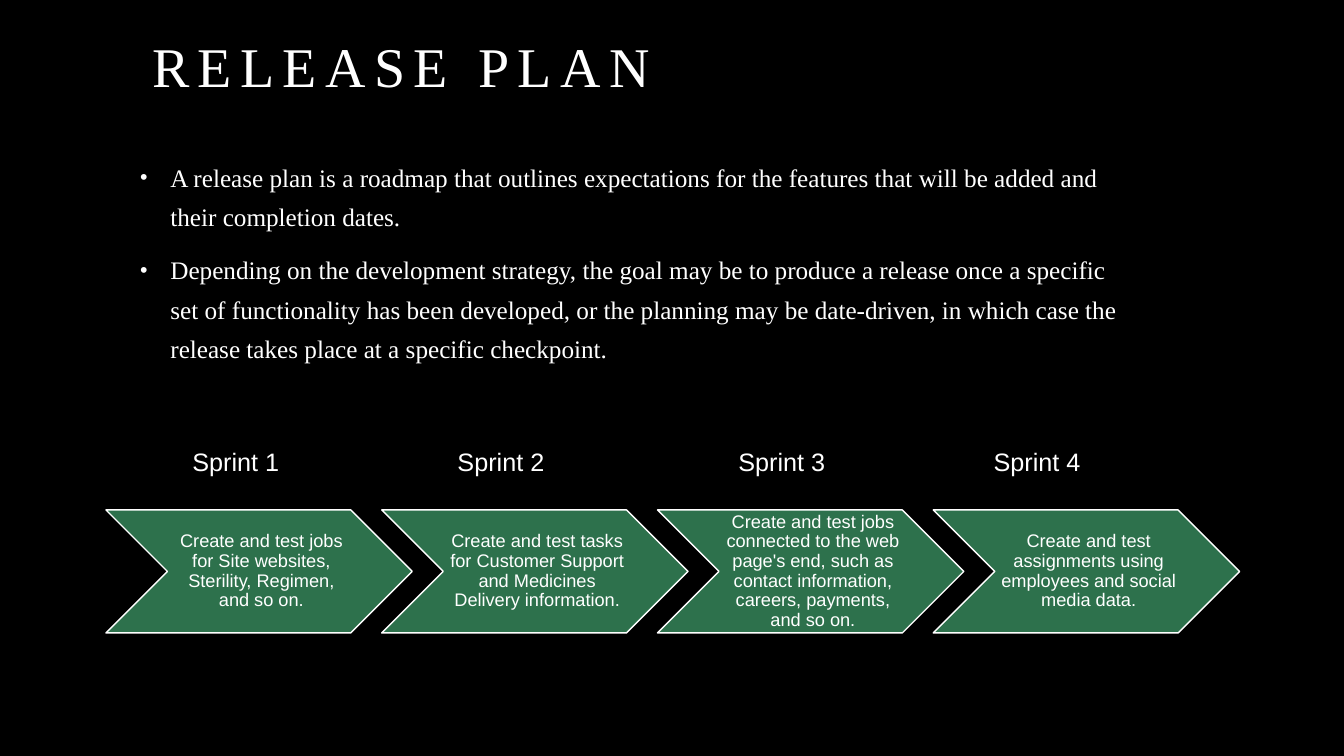
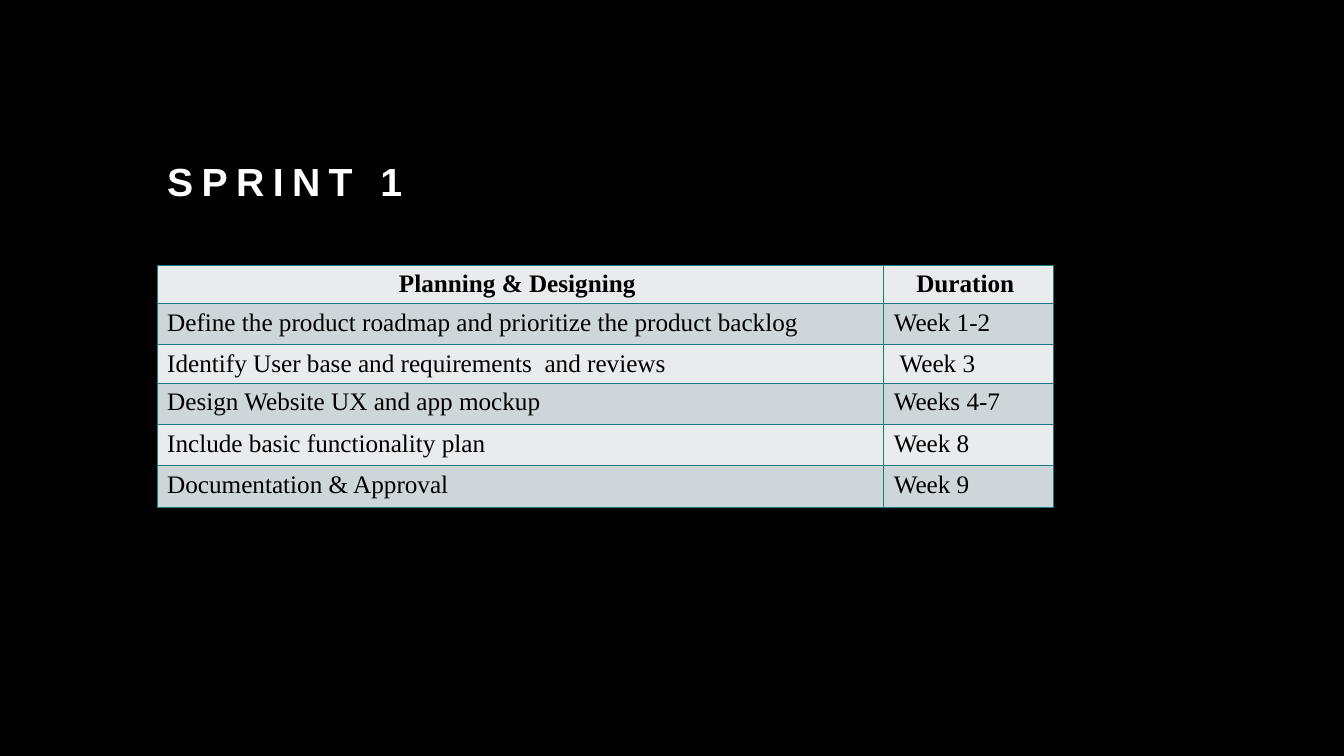
import pptx
import pptx.dml.color
import pptx.enum.shapes
import pptx.enum.text
import pptx.oxml
import pptx.oxml.ns
import pptx.util

Cm, Pt = pptx.util.Cm, pptx.util.Pt
Align = pptx.enum.text.PP_ALIGN
Anchor = pptx.enum.text.MSO_ANCHOR

COLORS = {
    "background": "000000",
    "light": "FFFFFF",
    "dark": "000000",
    "chevron": "2D714C",
    "border": "1F7985",
    "row_even": "E8ECED",
    "row_odd": "CDD7D9",
}
SANS, SERIF = "Arial", "Times New Roman"

BULLETS = [
    "A release plan is a roadmap that outlines expectations for the features that "
    "will be added and their completion dates.",
    "Depending on the development strategy, the goal may be to produce a release once "
    "a specific set of functionality has been developed, or the planning may be "
    "date-driven, in which case the release takes place at a specific checkpoint.",
]
# Label, left edge of the label in cm, chevron text
SPRINTS = [
    ("Sprint 1", 4.6,
     "Create and test jobs for Site websites, Sterility, Regimen, and so on."),
    ("Sprint 2", 11.28,
     "Create and test tasks for Customer Support and Medicines Delivery information."),
    ("Sprint 3", 18.36,
     "Create and test jobs connected to the web page's end, such as contact "
     "information, careers, payments, and so on."),
    ("Sprint 4", 24.79,
     "Create and test assignments using employees and social media data."),
]
CHEVRON_LEFT, CHEVRON_STEP = 2.67, 6.95
SCHEDULE = [
    ("Planning & Designing ", "Duration "),
    ("Define the product roadmap and prioritize the product backlog", "Week 1-2"),
    ("Identify User base and requirements  and reviews", " Week 3"),
    ("Design Website UX and app mockup", "Weeks 4-7"),
    ("Include basic functionality plan", "Week 8"),
    ("Documentation & Approval", "Week 9"),
]


def rgb(name):
    return pptx.dml.color.RGBColor.from_string(COLORS[name])


def apply(target, values):
    for name, value in values.items():
        setattr(target, name, value)


def place(sp, box):
    """Move a shape to (left, top, width, height), given in cm."""
    apply(sp, dict(zip(("left", "top", "width", "height"), map(Cm, box))))


def add_xml(parent, xml):
    head, tail = xml.split(" ", 1)
    parent.append(pptx.oxml.parse_xml(f"{head} {pptx.oxml.ns.nsdecls('a')} {tail}"))


class Deck:
    def __init__(self):
        self.prs = pptx.Presentation()
        apply(self.prs, {"slide_width": Cm(33.87), "slide_height": Cm(19.05)})
        fill = self.prs.slide_master.background.fill
        fill.solid()
        fill.fore_color.rgb = rgb("background")
        self.slide = None

    def new_slide(self, layout):
        layout = self.prs.slide_layouts.get_by_name(layout)
        self.slide = self.prs.slides.add_slide(layout)

    def text(self, p, text, size, font=SANS, color="light", bold=False, **paragraph):
        """Write one run; further keywords are paragraph attributes."""
        apply(p, paragraph)
        r = p.add_run()
        r.text = text
        apply(r.font, {"name": font, "size": Pt(size), "bold": bold})
        r.font.color.rgb = rgb(color)
        return r

    def title(self, text, box, **style):
        sp = self.slide.shapes.title
        place(sp, box)
        tf = sp.text_frame
        apply(tf, {"auto_size": pptx.enum.text.MSO_AUTO_SIZE.NONE,
                   "vertical_anchor": Anchor.BOTTOM})
        r = self.text(tf.paragraphs[0], text, alignment=Align.LEFT,
                      line_spacing=1.2, **style)
        r.font._element.set("spc", "600")

    def bullets(self, items, box):
        sp = self.slide.placeholders[1]
        place(sp, box)
        tf = sp.text_frame
        tf.auto_size = pptx.enum.text.MSO_AUTO_SIZE.NONE
        for i, item in enumerate(items):
            p = tf.add_paragraph() if i else tf.paragraphs[0]
            apply(p, {"line_spacing": 1.3, "space_before": Pt(10 if i else 0)})
            pPr = p._p.get_or_add_pPr()
            pPr.set("marL", str(Cm(0.76)))
            pPr.set("indent", str(-Cm(0.76)))
            add_xml(pPr, '<a:buSzPct val="85000"/>')
            add_xml(pPr, '<a:buFont typeface="Arial"/>')
            add_xml(pPr, '<a:buChar char="•"/>')
            self.text(p, item, 18, SERIF)

    def label(self, text, box):
        sp = self.slide.shapes.add_textbox(*map(Cm, box))
        sp.text_frame.word_wrap = True
        self.text(sp.text_frame.paragraphs[0], text, 18)

    def chevron(self, text, box):
        kind = pptx.enum.shapes.MSO_SHAPE.CHEVRON
        sp = self.slide.shapes.add_shape(kind, *map(Cm, box))
        sp.shadow.inherit = False
        sp.fill.solid()
        sp.fill.fore_color.rgb = rgb("chevron")
        sp.line.color.rgb = rgb("light")
        sp.line.width = Pt(1)
        tf = sp.text_frame
        apply(tf, {"word_wrap": True, "vertical_anchor": Anchor.MIDDLE,
                   "margin_left": Cm(0.16), "margin_right": Cm(0.05),
                   "margin_top": Cm(0.05), "margin_bottom": Cm(0.05)})
        self.text(tf.paragraphs[0], text, 13, alignment=Align.CENTER, line_spacing=0.9)

    def cell(self, cell, text, fill, header):
        tcPr = cell._tc.get_or_add_tcPr()
        for side in "LRTB":
            add_xml(tcPr, f'<a:ln{side} w="{Pt(1)}"><a:solidFill><a:srgbClr '
                          f'val="{COLORS["border"]}"/></a:solidFill></a:ln{side}>')
        cell.fill.solid()
        cell.fill.fore_color.rgb = rgb(fill)
        self.text(cell.text_frame.paragraphs[0], text, 18, SERIF, "dark", bold=header,
                  alignment=Align.CENTER if header else Align.JUSTIFY)

    def table(self, rows, left, top, widths, heights):
        box = (left, top, sum(widths), sum(heights))
        table = self.slide.shapes.add_table(len(rows), len(widths), *map(Cm, box)).table
        apply(table, {"first_row": False, "horz_banding": False})
        for column, width in zip(table.columns, widths):
            column.width = Cm(width)
        for i, (row, texts) in enumerate(zip(table.rows, rows)):
            row.height = Cm(heights[i])
            for cell, text in zip(row.cells, texts):
                self.cell(cell, text, "row_odd" if i % 2 else "row_even", i == 0)


def release_plan(deck):
    deck.new_slide("Title and Content")
    deck.title("RELEASE PLAN", (3.58, 0.23, 26.75, 2.39), size=40, font=SERIF)
    deck.bullets(BULLETS, (3.28, 3.73, 25.65, 5.79))
    for i, (name, left, task) in enumerate(SPRINTS):
        deck.label(name, (left, 11.13, 3.89, 1.02))
        deck.chevron(task, (CHEVRON_LEFT + i * CHEVRON_STEP, 12.85, 7.72, 3.1))


def sprint_schedule(deck):
    deck.new_slide("Title Only")
    deck.title("SPRINT 1", (3.96, 2.9, 25.65, 2.39), size=28, bold=True)
    deck.table(SCHEDULE, 3.96, 6.68, (18.31, 4.27),
               (0.97, 1.04, 0.97, 1.04, 1.04, 1.04))


def main():
    deck = Deck()
    release_plan(deck)
    sprint_schedule(deck)
    deck.prs.save("out.pptx")


if __name__ == "__main__":
    main()
